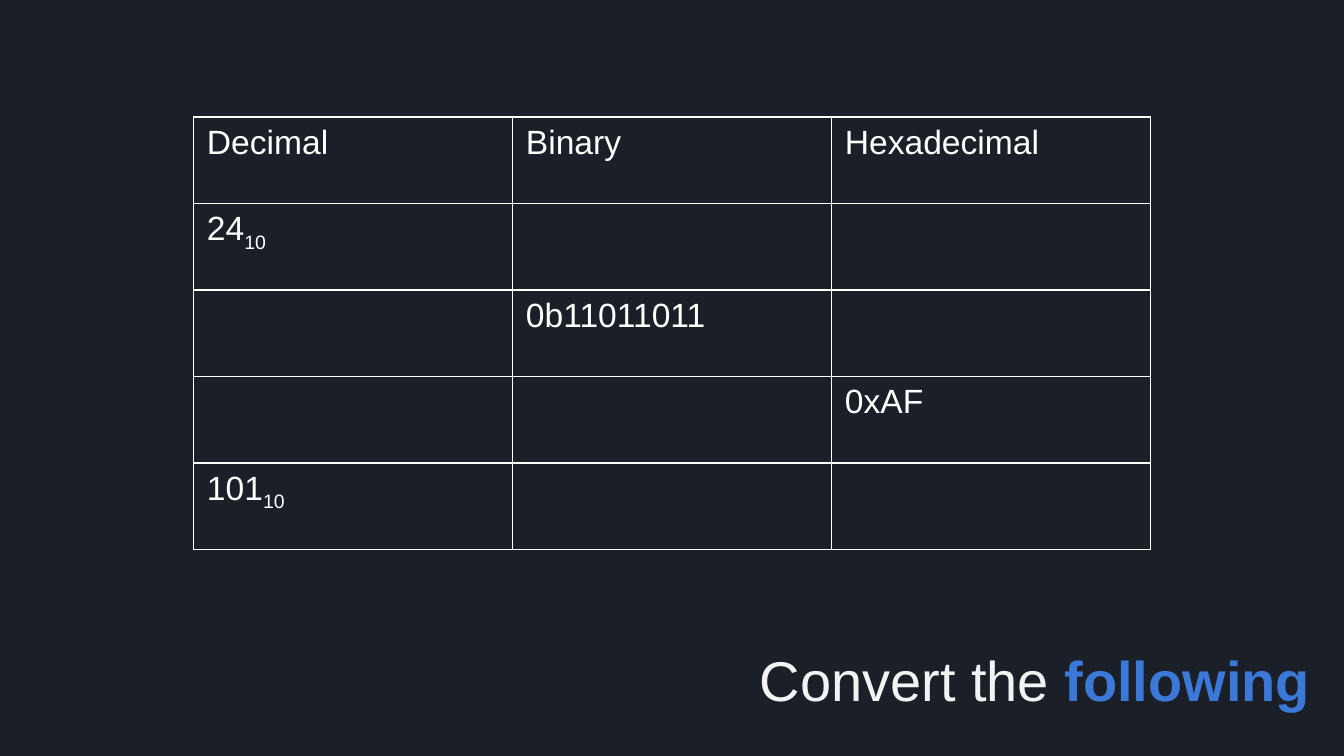
from dataclasses import dataclass

from lxml import etree
from pptx import Presentation
from pptx.dml.color import RGBColor
from pptx.enum.text import MSO_ANCHOR, PP_ALIGN
from pptx.oxml.ns import qn
from pptx.util import Inches, Pt

BOTTOM = MSO_ANCHOR.BOTTOM
RIGHT = PP_ALIGN.RIGHT


@dataclass(frozen=True)
class Theme:
    """Colours, font and type sizes."""
    back: str = "1B1F28"
    text: str = "FFFFFF"
    title: str = "F3F3F3"
    accent: str = "3C78D8"
    font: str = "Arial"
    head: int = 30
    body: int = 18
    line: int = 1


class Deck:
    """Holds the theme and the current slide."""

    def __init__(self, show, theme):
        """Add a title-only slide with a plain background."""
        self.theme = theme
        self.slide = show.slides.add_slide(show.slide_layouts[5])
        fill = self.slide.background.fill
        fill.solid()
        fill.fore_color.rgb = RGBColor.from_string(theme.back)

    def style(self, run, size, color, bold=False):
        """Format one run."""
        font = run.font
        font.name, font.size, font.bold = self.theme.font, Pt(size), bold
        font.color.rgb = RGBColor.from_string(color)

    def title(self, plain, strong, left, top, width, height):
        """Place the title, its last part in the accent colour."""
        shape = self.slide.shapes.title
        shape.left, shape.top = Inches(left), Inches(top)
        shape.width, shape.height = Inches(width), Inches(height)
        frame = shape.text_frame
        frame.text = plain
        frame.word_wrap = True
        frame.vertical_anchor = BOTTOM
        frame.margin_left = frame.margin_right = Inches(0.1)
        frame.margin_top = frame.margin_bottom = Inches(0.1)
        para = frame.paragraphs[0]
        para.alignment = RIGHT
        para.add_run().text = strong
        first, last = para.runs
        self.style(first, self.theme.head, self.theme.title)
        self.style(last, self.theme.head, self.theme.accent, True)

    def border(self, cell):
        """Draw a line on each side of a cell."""
        props = cell._tc.get_or_add_tcPr()
        for side in ("lnL", "lnR", "lnT", "lnB"):
            line = etree.SubElement(props, qn(f"a:{side}"), w=str(Pt(self.theme.line)))
            fill = etree.SubElement(line, qn("a:solidFill"))
            etree.SubElement(fill, qn("a:srgbClr"), val=self.theme.text)

    def cell(self, cell, text, base):
        """Fill one cell, with the number base as a subscript."""
        self.border(cell)
        cell.fill.background()
        para = cell.text_frame.paragraphs[0]
        para.font.size = Pt(self.theme.body)
        if not text:
            return
        para.text = text
        if base:
            run = para.add_run()
            run.text = base
            run._r.get_or_add_rPr().set("baseline", "-25000")
        for run in para.runs:
            self.style(run, self.theme.body, self.theme.text)

    def table(self, rows, left, top, width, height):
        """Add a table of equal cells in a box of the given size."""
        count = len(rows[0])
        table = self.slide.shapes.add_table(
            len(rows), count, Inches(left), Inches(top),
            Inches(width), Inches(height)).table
        table.first_row = table.horz_banding = False
        for row, texts in zip(table.rows, rows):
            for cell, text in zip(row.cells, texts):
                value, _, base = text.partition("_")
                self.cell(cell, value, base)


def main():
    """Build and save the slide."""
    show = Presentation()
    show.slide_width, show.slide_height = Inches(10), Inches(10 * 9 / 16)
    deck = Deck(show, Theme())
    deck.title("Convert the ", "following", 0.54, 4.62, 9.31, 0.78)
    rows = [
        ("Decimal", "Binary", "Hexadecimal"),
        ("24_10", "", ""),
        ("", "0b11011011", ""),
        ("", "", "0xAF"),
        ("101_10", "", ""),
    ]
    deck.table(rows, 1.44, 0.87, 7.12, 3.22)
    show.save("out.pptx")


if __name__ == "__main__":
    main()
